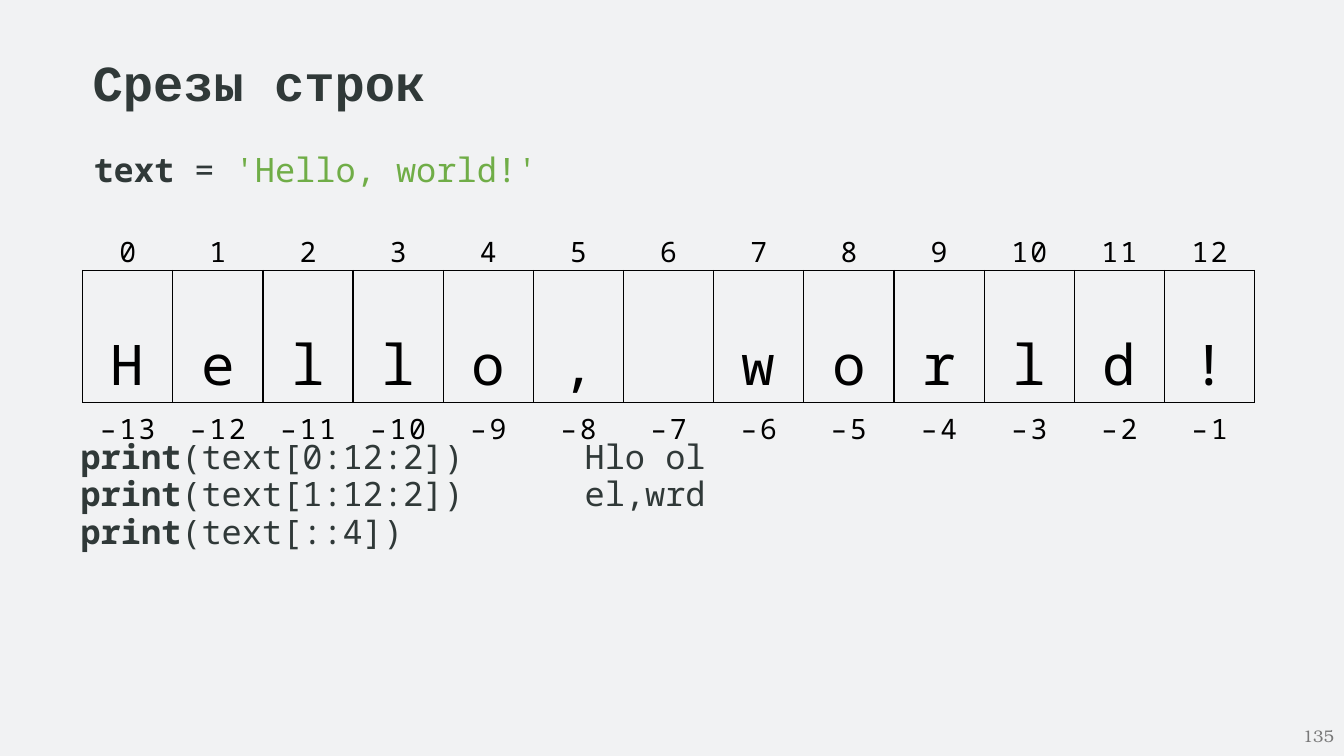
from lxml import etree
from pptx import Presentation
from pptx.dml.color import RGBColor
from pptx.enum.text import MSO_ANCHOR, MSO_AUTO_SIZE, PP_ALIGN
from pptx.oxml import parse_xml
from pptx.oxml.ns import nsdecls, qn
from pptx.util import Inches, Pt

INK = RGBColor(0x30, 0x39, 0x38)
GREEN = RGBColor(0x70, 0xAD, 0x47)
BLACK = RGBColor(0, 0, 0)
GREY = RGBColor(0x79, 0x79, 0x79)
PAPER = RGBColor(0xF1, 0xF2, 0xF3)
LEFT, RIGHT = PP_ALIGN.LEFT, PP_ALIGN.RIGHT
CENTER, JUSTIFY = PP_ALIGN.CENTER, PP_ALIGN.JUSTIFY
TOP, MIDDLE = MSO_ANCHOR.TOP, MSO_ANCHOR.MIDDLE
NO_FIT = MSO_AUTO_SIZE.NONE
HEAD, MONO, SERIF = "Courier New", "Noto Sans Mono", "TeX Gyre Bonum"
NO_GRID = "{2D5ABB26-0587-4C30-8999-92F81FD0307C}"
TITLE_ONLY = 5


class Deck:
    """Holds the style and the current slide on a grid of 100 columns by 100 rows."""

    def __init__(self, wide, high):
        self.show = Presentation()
        self.show.slide_width, self.show.slide_height = Inches(wide), Inches(high)
        self.col, self.row = Inches(wide) / 100, Inches(high) / 100
        self.slide = self.show.slides.add_slide(self.show.slide_layouts[TITLE_ONLY])
        fill = self.slide.background.fill
        fill.solid()
        fill.fore_color.rgb = PAPER

    def area(self, x, y, w, h):
        return int(x * self.col), int(y * self.row), int(w * self.col), int(h * self.row)

    def run(self, para, text, size, font=MONO, color=INK, bold=False, gap=0):
        run = para.add_run()
        run.text = text
        face = run.font
        face.size, face.name, face.bold = Pt(size), font, bold
        face.color.rgb = color
        if gap:
            face._element.set("spc", str(round(gap * 100)))

    def title(self, text, area):
        shape = self.slide.shapes.title
        shape.left, shape.top, shape.width, shape.height = self.area(*area)
        frame = shape.text_frame
        frame.word_wrap, frame.auto_size = False, NO_FIT
        frame.vertical_anchor = TOP
        para = frame.paragraphs[0]
        para.alignment = LEFT
        self.run(para, text, 36, HEAD, bold=True)

    def box(self, area):
        frame = self.slide.shapes.add_textbox(*self.area(*area)).text_frame
        frame.word_wrap = True
        return frame

    def code(self, lines, area, stop=5):
        frame = self.box(area)
        for place, line in enumerate(lines):
            para = frame.add_paragraph() if place else frame.paragraphs[0]
            para.alignment, para.line_spacing = JUSTIFY, 0.9
            para.space_before = Pt(0.9 if place else 0)
            props = para._p.get_or_add_pPr()
            props.set("marL", str(Inches(0.01)))
            tabs = etree.SubElement(props, qn("a:tabLst"))
            etree.SubElement(tabs, qn("a:tab"), pos=str(Inches(stop)), algn="l")
            for text, color, bold in line:
                self.run(para, text, 24, color=color, bold=bold)

    def number(self, text, area):
        frame = self.box(area)
        frame.vertical_anchor = MIDDLE
        para = frame.paragraphs[0]
        para.alignment = RIGHT
        self.run(para, text, 12, SERIF, GREY)

    def edge(self, cell, sides):
        props = cell._tc.get_or_add_tcPr()
        for side in sides:
            props.append(parse_xml(
                f'<a:ln{side} w="{Pt(1)}" {nsdecls("a")}><a:solidFill>'
                f'<a:srgbClr val="{BLACK}"/></a:solidFill></a:ln{side}>'))

    def table(self, rows, area):
        count = len(rows[0]["texts"])
        frame = self.slide.shapes.add_table(len(rows), count, *self.area(*area))
        table = frame.table
        table.first_row = table.horz_banding = False
        table._tbl.tblPr.find(qn("a:tableStyleId")).text = NO_GRID
        for col in table.columns:
            col.width = int(area[2] * self.col / count)
        for band, row in zip(table.rows, rows):
            band.height = int(row["high"] * self.row)
            for cell, text in zip(band.cells, row["texts"]):
                self.cell(cell, text, row)

    def cell(self, cell, text, row):
        cell.margin_left = cell.margin_right = cell.margin_bottom = 0
        cell.margin_top = Inches(row.get("pad", 0))
        self.edge(cell, row["sides"])
        cell.fill.background()
        para = cell.text_frame.paragraphs[0]
        para.alignment = CENTER
        if "lead" in row:
            para.line_spacing = Pt(row["lead"])
        if text.strip():
            gap = row.get("gap", 0) if len(text) > 1 else 0
            self.run(para, text, row["size"], color=BLACK, gap=gap)


def main():
    word = "Hello, world!"
    size = len(word)
    deck = Deck(13.33, 7.5)
    deck.title("Срезы строк", (6.15, 6.13, 26.55, 9.47))
    deck.code([[("text ", INK, True), ("= ", INK, False), (f"'{word}'", GREEN, False)]],
              (6.15, 19.6, 89.55, 6.67))
    calls = ["(text[0:12:2])\tHlo ol", "(text[1:12:2])\tel,wrd", "(text[::4])"]
    deck.code([[("print", INK, True), (call, INK, False)] for call in calls],
              (5.18, 57.6, 89.55, 29.07))
    deck.table([
        {"texts": [str(n) for n in range(size)], "high": 5.6, "size": 20,
         "lead": 34.1, "gap": 1.6, "sides": "B"},
        {"texts": list(word), "high": 13.6, "size": 40, "lead": 94, "sides": "LRTB"},
        {"texts": [f"–{n}" for n in range(size, 0, -1)], "high": 5.07, "size": 20,
         "pad": 0.07, "gap": 1.9, "sides": "T"},
    ], (6.15, 29.47, 87.22, 24.27))
    deck.number("135", (77.5, 94.67, 22.5, 5.33))
    deck.show.save("out.pptx")


if __name__ == "__main__":
    main()
